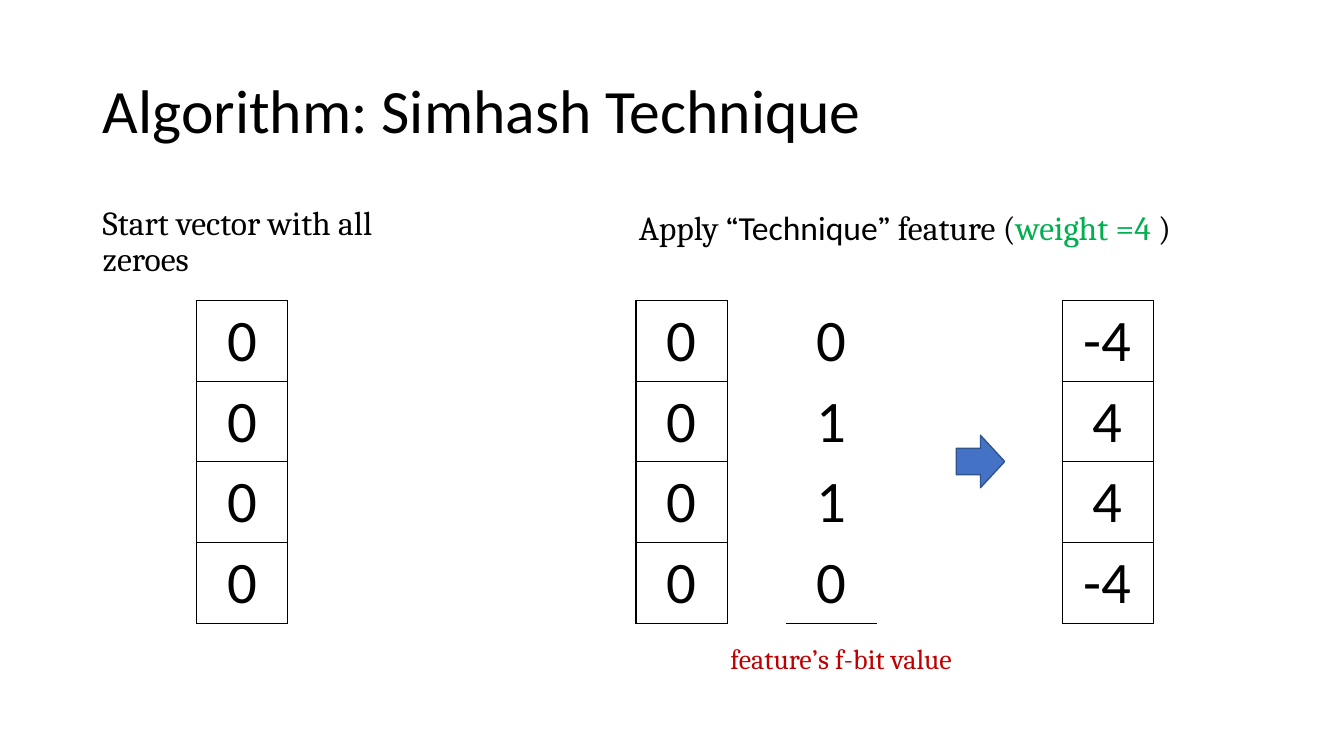
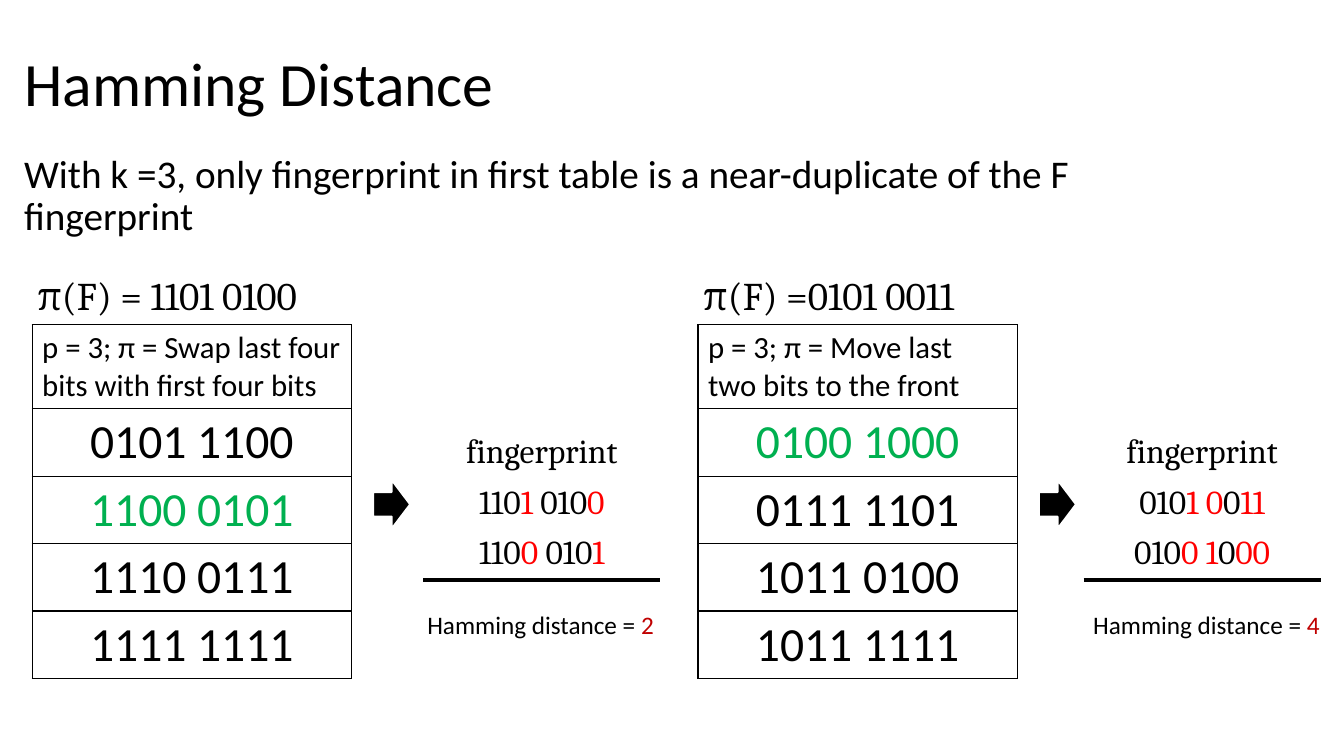
"""Build two slides on simhash fingerprints and Hamming distance."""
import dataclasses

import lxml.etree
import pptx
import pptx.dml.color
import pptx.enum.shapes
import pptx.enum.text
import pptx.oxml.ns
import pptx.util

Cm = pptx.util.Cm
Align = pptx.enum.text.PP_ALIGN


@dataclasses.dataclass(frozen=True)
class Theme:
    sans: str = "Calibri"
    serif: str = "Cambria"
    ink: str = "000000"
    paper: str = "FFFFFF"
    green: str = "00B050"
    red: str = "FF0000"
    dark_red: str = "C00000"
    blue: str = "4472C4"
    blue_edge: str = "325491"
    title: int = 44
    digit: int = 42
    bits: int = 34
    lead: int = 28
    label: int = 24
    heading: int = 22
    caption: int = 20
    result: int = 18
    grid: float = 1
    rule: float = 3


THEME = Theme()


def rgb(value):
    return pptx.dml.color.RGBColor.from_string(value)


class Deck:
    def __init__(self, theme):
        self.theme = theme
        self.deck = pptx.Presentation()
        self.deck.slide_width = Cm(33.87)
        self.deck.slide_height = Cm(19.05)
        self.page = None

    def add_page(self, title, left, top):
        self.page = self.deck.slides.add_slide(self.deck.slide_layouts[5])
        box = self.page.shapes.title
        box.left, box.top, box.width, box.height = Cm(left), Cm(top), Cm(29.21), Cm(3.68)
        frame = box.text_frame
        frame.auto_size = pptx.enum.text.MSO_AUTO_SIZE.NONE
        frame.vertical_anchor = pptx.enum.text.MSO_ANCHOR.MIDDLE
        self.fill_text(frame, title, self.theme.title, self.theme.sans, spacing=0.9)

    def fill_text(self, frame, content, size, font, align=Align.LEFT, spacing=1.0):
        spans = [(content,)] if isinstance(content, str) else content
        para = frame.paragraphs[0]
        para.alignment = align
        para.line_spacing = spacing
        for text, *style in spans:
            color, face = style + [self.theme.ink, font][len(style):]
            span = para.add_run()
            span.text = text
            span.font.size = pptx.util.Pt(size)
            span.font.name = face
            span.font.color.rgb = rgb(color)

    def add_text(self, left, top, width, height, content, size, font, spacing=1.0):
        box = self.page.shapes.add_textbox(Cm(left), Cm(top), Cm(width), Cm(height))
        box.text_frame.word_wrap = True
        self.fill_text(box.text_frame, content, size, font, spacing=spacing)

    def add_column(self, left, top, width, rows, size, font, grid=True, rule=0, heading=None):
        """Add a one-column table from (height, content) rows."""
        total = sum(height for height, _ in rows)
        table = self.page.shapes.add_table(
            len(rows), 1, Cm(left), Cm(top), Cm(width), Cm(total)).table
        table.first_row = table.horz_banding = False
        for index, (height, content) in enumerate(rows):
            table.rows[index].height = Cm(height)
            cell = table.cell(index, 0)
            is_heading = heading is not None and index == 0
            self.fill_text(cell.text_frame, content, heading if is_heading else size, font,
                           Align.LEFT if is_heading else Align.CENTER)
            weights = dict.fromkeys("LRTB", self.theme.grid if grid else 0)
            if rule and index == len(rows) - 1:
                weights["B"] = rule
            self.set_borders(cell, weights)
            cell.fill.background()

    def set_borders(self, cell, weights):
        qn = pptx.oxml.ns.qn
        properties = cell._tc.get_or_add_tcPr()
        for side, weight in weights.items():
            line = lxml.etree.SubElement(properties, qn(f"a:ln{side}"))
            if not weight:
                lxml.etree.SubElement(line, qn("a:noFill"))
                continue
            line.set("w", str(int(pptx.util.Pt(weight))))
            fill = lxml.etree.SubElement(line, qn("a:solidFill"))
            lxml.etree.SubElement(fill, qn("a:srgbClr")).set("val", self.theme.ink)

    def add_arrow(self, left, top, width, height, fill, edge, weight):
        arrow = self.page.shapes.add_shape(
            pptx.enum.shapes.MSO_SHAPE.RIGHT_ARROW, Cm(left), Cm(top), Cm(width), Cm(height))
        arrow.shadow.inherit = False
        arrow.fill.solid()
        arrow.fill.fore_color.rgb = rgb(fill)
        arrow.line.color.rgb = rgb(edge)
        arrow.line.width = pptx.util.Pt(weight)


def build_simhash(deck):
    theme = deck.theme
    deck.add_page("Algorithm: Simhash Technique", 2.34, 1.02)
    deck.add_text(2.34, 5.08, 9.14, 2.2, "Start vector with all zeroes",
                  theme.label, theme.serif, spacing=0.9)
    feature = [("Apply “",), ("Technique", theme.ink, theme.sans), ("” feature (",),
               ("weight =4 ", theme.green), (")",)]
    deck.add_text(15.85, 5.08, 14.68, 1.27, feature, theme.label, theme.serif)
    vectors = [
        (4.95, ["0", "0", "0", "0"], True),
        (16.03, ["0", "0", "0", "0"], True),
        (19.81, ["0", "1", "1", "0"], False),
        (26.77, ["-4", "4", "4", "-4"], True),
    ]
    for left, digits, grid in vectors:
        deck.add_column(left, 7.57, 2.3, [(2.03, digit) for digit in digits],
                        theme.digit, theme.sans, grid=grid, rule=theme.grid)
    deck.add_arrow(24.1, 10.97, 1.22, 1.32, theme.blue, theme.blue_edge, 1)
    deck.add_text(18.16, 16.05, 6.38, 1.12, [("feature’s f-bit value", theme.dark_red)],
                  theme.caption, theme.serif)


def build_hamming(deck):
    theme = deck.theme
    green, red = theme.green, theme.red
    deck.add_page("Hamming Distance", 0.36, 0.33)
    deck.add_text(
        0.36, 3.76, 29.21, 2.62,
        "With k =3, only fingerprint in first table is a near-duplicate of the F fingerprint",
        theme.lead, theme.sans, spacing=0.9)
    panels = [
        ("π(F) = 1101 0100", "p = 3; π = Swap last four bits with first four bits",
         ["0101 1100", [("1100 0101", green)], "1110 0111", "1111 1111"],
         10.67,
         [("110",), ("1", red), (" 010",), ("0", red)],
         [("110",), ("0", red), (" 010",), ("1", red)], "2"),
        ("π(F) =0101 0011", "p = 3; π = Move last two bits to the front",
         [[("0100 1000", green)], "0111 1101", "1011 0100", "1011 1111"],
         27.31,
         [("010",), ("1 0", red), ("0",), ("11", red)],
         [("010",), ("0 1", red), ("0",), ("00", red)], "4"),
    ]
    for index, (formula, heading, entries, match_left, query, match, distance) in enumerate(panels):
        shift = index * 16.78
        deck.add_text(0.69 + shift, 6.7, 8.28, 1.45, formula, theme.lead, theme.serif)
        deck.add_column(0.81 + shift, 8.18, 8.05,
                        [(2.11, heading)] + [(1.7, entry) for entry in entries],
                        theme.bits, theme.sans, heading=theme.heading)
        deck.add_arrow(9.4 + shift, 12.09, 0.94, 1.24, theme.ink, theme.paper, 1.5)
        deck.add_column(match_left, 10.8, 5.97,
                        [(1.27, content) for content in ("fingerprint", query, match)],
                        theme.label, theme.serif, grid=False, rule=theme.rule)
        deck.add_text(10.52 + shift, 15.24, 6.3, 1.02,
                      [("Hamming distance = ",), (distance, theme.dark_red)],
                      theme.result, theme.sans)


def main():
    deck = Deck(THEME)
    build_simhash(deck)
    build_hamming(deck)
    deck.deck.save("out.pptx")


if __name__ == "__main__":
    main()
